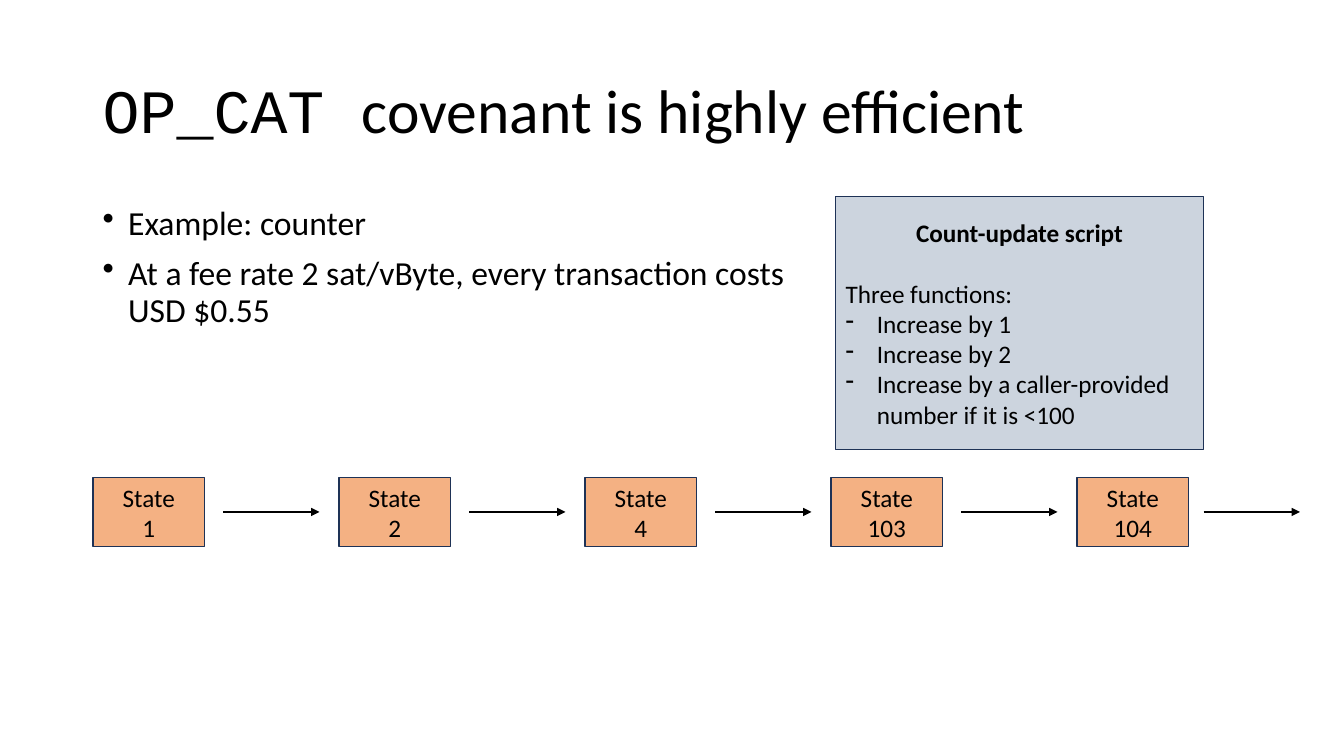
import pptx
import pptx.util
import pptx.dml.color
import pptx.enum.shapes
import pptx.enum.text
import pptx.oxml
import pptx.oxml.ns
from pptx.util import Cm

BLACK = pptx.dml.color.RGBColor(0x00, 0x00, 0x00)
NAVY = pptx.dml.color.RGBColor(0x1E, 0x32, 0x56)
ORANGE = pptx.dml.color.RGBColor(0xF4, 0xB1, 0x83)
GREY_BLUE = pptx.dml.color.RGBColor(0xCC, 0xD4, 0xDE)
CENTER = pptx.enum.text.PP_ALIGN.CENTER
LEFT = pptx.enum.text.PP_ALIGN.LEFT
MIDDLE = pptx.enum.text.MSO_ANCHOR.MIDDLE


class Deck:
    font = "Calibri"
    code_font = "Courier New"

    def __init__(self, prs):
        self.prs = prs
        self.s = prs.slides.add_slide(prs.slide_layouts[6])

    def element(self, parent, tag, **attrs):
        e = pptx.oxml.ns.qn(tag)
        child = parent.makeelement(e, attrs)
        parent.append(child)
        return child

    def paragraph(self, tf, runs, size, align=LEFT, bullet=None, indent=0,
                  spacing=None, before=0, bold=False):
        p = tf.paragraphs[0]
        if p.runs:
            p = tf.add_paragraph()
            p.space_before = pptx.util.Pt(before)
        p.alignment = align
        if spacing:
            p.line_spacing = spacing
        if bullet:
            pPr = p._p.get_or_add_pPr()
            pPr.set("marL", str(Cm(indent)))
            pPr.set("indent", str(-Cm(indent)))
            self.element(pPr, "a:buChar", char=bullet)
        for text, font in runs:
            r = p.add_run()
            r.text = text
            r.font.name = font
            r.font.size = pptx.util.Pt(size)
            r.font.bold = bold
            r.font.color.rgb = BLACK

    def line(self, tf, text, size=18, **style):
        self.paragraph(tf, [(text, self.font)], size, **style)

    def text_box(self, left, top, width, height):
        sp = self.s.shapes.add_textbox(Cm(left), Cm(top), Cm(width), Cm(height))
        sp.text_frame.word_wrap = True
        return sp.text_frame

    def box(self, left, top, width, height, fill):
        sp = self.s.shapes.add_shape(pptx.enum.shapes.MSO_SHAPE.RECTANGLE,
                                     Cm(left), Cm(top), Cm(width), Cm(height))
        sp.shadow.inherit = False
        sp.fill.solid()
        sp.fill.fore_color.rgb = fill
        sp.line.color.rgb = NAVY
        sp.line.width = pptx.util.Pt(1)
        tf = sp.text_frame
        tf.word_wrap = True
        tf.vertical_anchor = MIDDLE
        return tf

    def arrow(self, left, y, length):
        c = self.s.shapes.add_connector(pptx.enum.shapes.MSO_CONNECTOR.STRAIGHT,
                                        Cm(left), Cm(y), Cm(left + length), Cm(y))
        c.line.color.rgb = BLACK
        c.line.width = pptx.util.Pt(1)
        self.element(c.line._get_or_add_ln(), "a:tailEnd", type="triangle")
        self.element(c._element.spPr, "a:effectLst")


def main():
    prs = pptx.Presentation()
    prs.slide_width, prs.slide_height = Cm(33.87), Cm(19.05)
    deck = Deck(prs)

    tf = deck.text_box(2.34, 1.02, 29.21, 3.68)
    tf.vertical_anchor = MIDDLE
    deck.paragraph(tf, [("OP_CAT ", deck.code_font),
                        ("covenant is highly efficient", deck.font)], 44, spacing=0.9)

    tf = deck.text_box(2.34, 5.08, 18.24, 12.09)
    for text in ("Example: counter",
                 "At a fee rate 2 sat/vByte, every transaction costs USD $0.55"):
        deck.line(tf, text, 24, bullet="•", indent=0.64, spacing=0.9, before=10)

    tf = deck.box(21.06, 4.95, 9.27, 6.38, GREY_BLUE)
    deck.line(tf, "Count-update script", align=CENTER, bold=True)
    deck.line(tf, "Three functions:", before=22)
    for text in ("Increase by 1", "Increase by 2",
                 "Increase by a caller-provided number if it is <100"):
        deck.line(tf, text, bullet="-", indent=0.79)

    states = ("1", "2", "4", "103", "104")
    pitch = 6.2
    for i, state in enumerate(states):
        tf = deck.box(2.34 + i * pitch, 12.04, 2.82, 1.73, ORANGE)
        deck.line(tf, "State", align=CENTER)
        deck.line(tf, state, align=CENTER)
        deck.arrow(min(5.62 + i * pitch, 30.33), 12.9, 2.43)

    prs.save("out.pptx")


if __name__ == "__main__":
    main()
